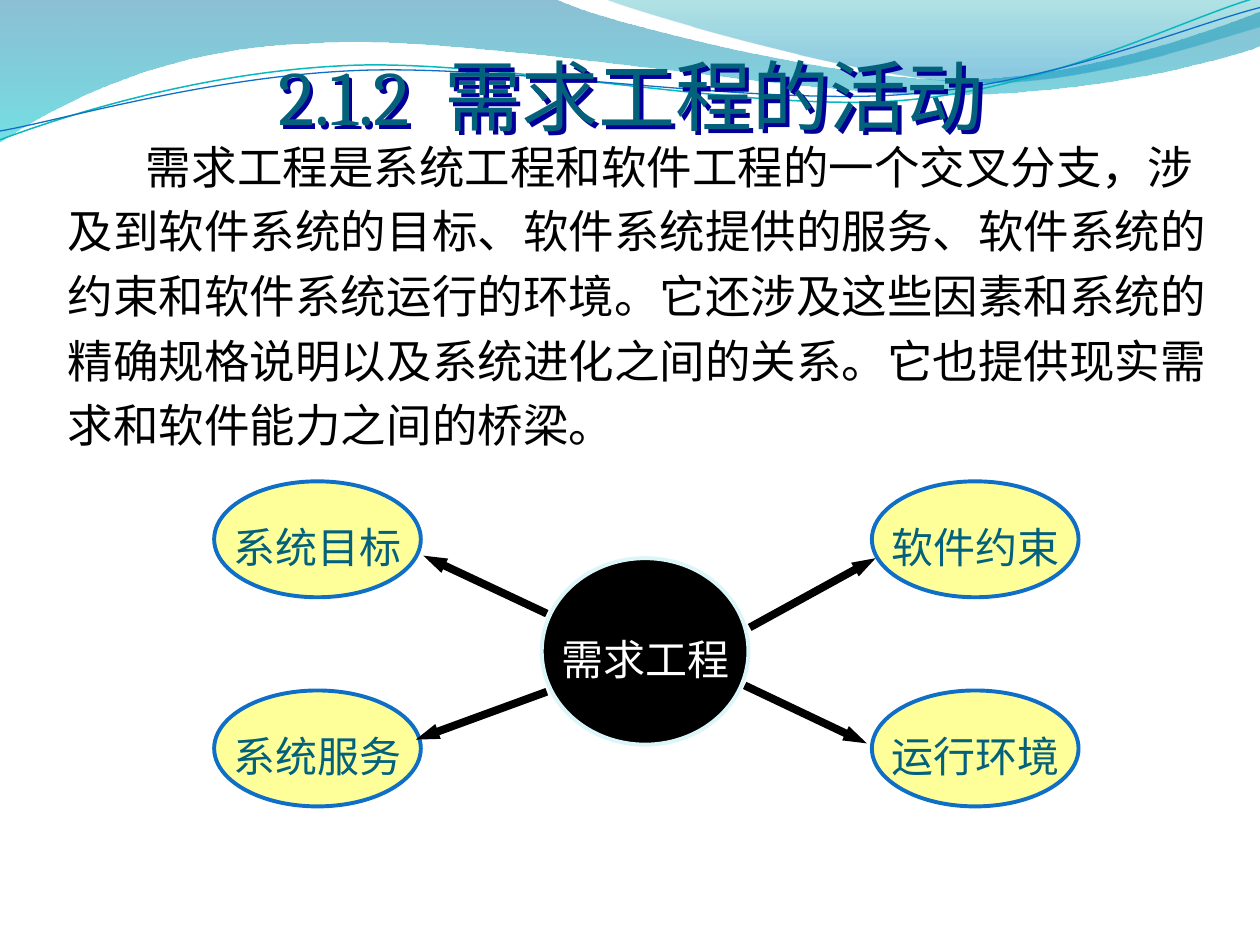
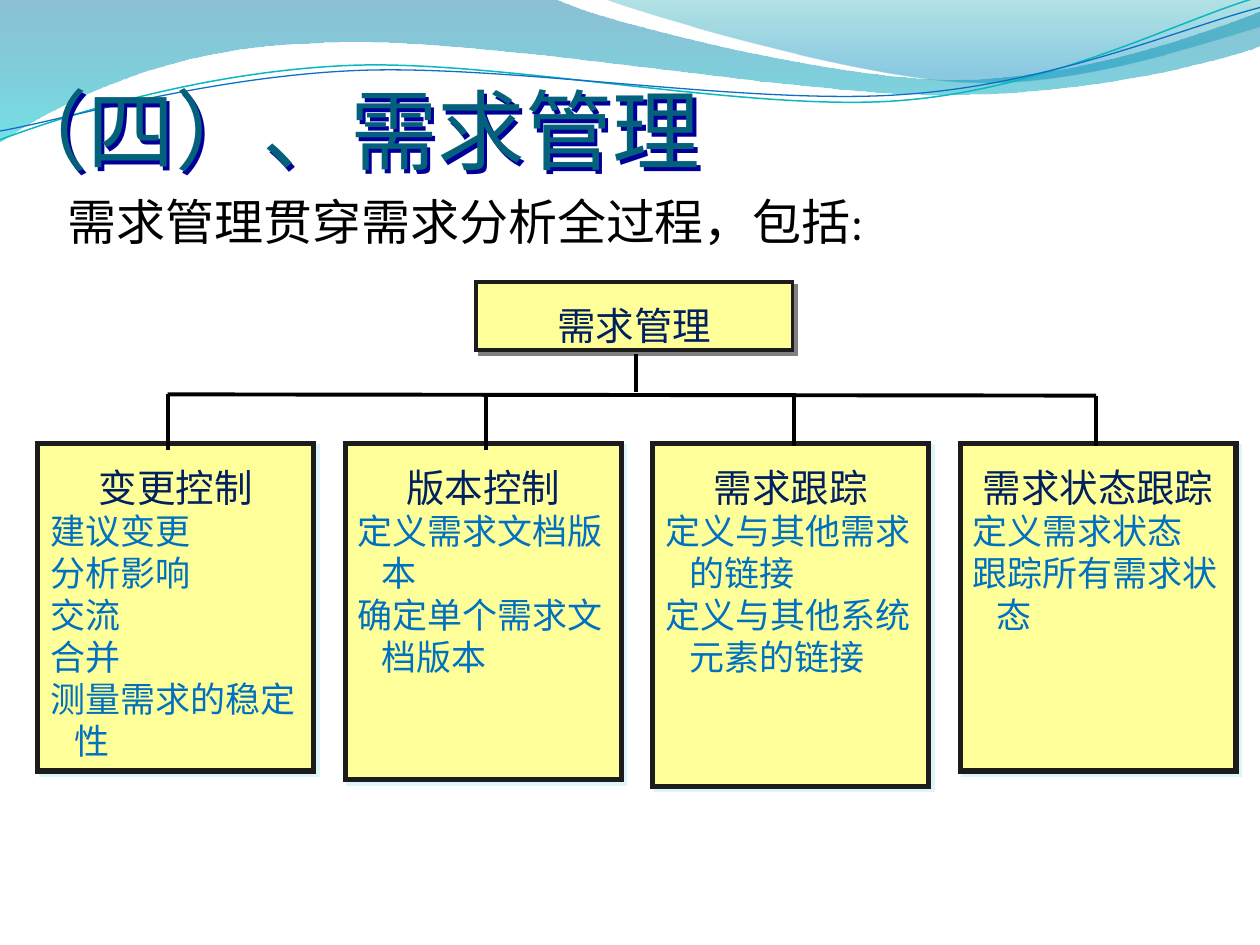
from dataclasses import dataclass

from lxml import etree
from pptx import Presentation
from pptx.dml.color import RGBColor
from pptx.enum.shapes import MSO_CONNECTOR as Connector, MSO_SHAPE as Preset
from pptx.enum.text import MSO_ANCHOR as Anchor, MSO_AUTO_SIZE as AutoSize, PP_ALIGN as Align
from pptx.oxml.ns import qn
from pptx.util import Inches, Pt


@dataclass(frozen=True)
class Theme:
    serif: str = "Cambria"
    sans: str = "Calibri"
    chinese: str = "Noto Sans CJK SC"
    teal: str = "04617B"
    blue: str = "0F6FC6"
    aqua: str = "0AB8BF"
    pale: str = "DBF5F9"
    yellow: str = "FFFF99"
    black: str = "000000"
    white: str = "FFFFFF"
    edge: str = "1C1C1C"
    gray: str = "808080"
    navy: str = "002060"
    item: str = "0070C0"
    title_shadow: str = "000099"
    title_size: int = 44
    section_size: int = 50
    body_size: int = 26
    lead_size: int = 28
    node_size: int = 24
    head_size: int = 22
    item_size: int = 20


THEME = Theme()

# Each wave: start point, then line ends (one point) or curves (three points)
BAND_WAVE = [
    [(0, 0)], [(4.4, -0.01)],
    [(4.76, 0.17), (6.64, 0.63), (7.58, 0.63)],
    [(8.53, 0.63), (9.58, 0.26), (10, 0.09)],
    [(10.01, 0.36)],
    [(9.83, 0.44), (8.7, 0.76), (7.46, 0.75)],
    [(6.22, 0.75), (3.82, 0.28), (2.57, 0.34)],
    [(1.29, 0.36), (0.46, 0.83), (-0.01, 1.13)],
]
CORNER_WAVE = [
    [(4.79, -0.01)],
    [(5.09, 0.11), (6.82, 0.62), (7.69, 0.65)],
    [(8.56, 0.69), (9.61, 0.32), (10, 0.21)],
    [(10, 0)],
]
AQUA_WAVE = [
    [(0, 1.11)],
    [(0.48, 0.93), (1.58, 0.57), (2.77, 0.52)],
    [(3.95, 0.47), (5.93, 0.89), (7.13, 0.8)],
    [(8.33, 0.71), (9.38, 0.15), (9.98, -0.02)],
]
BLUE_WAVE = [
    [(0, 1.04)],
    [(0.47, 0.96), (1.64, 0.61), (2.83, 0.56)],
    [(4.03, 0.51), (5.97, 0.84), (7.17, 0.75)],
    [(8.36, 0.67), (9.41, 0.21), (10, 0.06)],
]

DEFINITION = [
    "需求工程是系统工程和软件工程的一个交叉分支，涉",
    "及到软件系统的目标、软件系统提供的服务、软件系统的",
    "约束和软件系统运行的环境。它还涉及这些因素和系统的",
    "精确规格说明以及系统进化之间的关系。它也提供现实需",
    "求和软件能力之间的桥梁。",
]
ASPECTS = [["系统目标", "系统服务"], ["软件约束", "运行环境"]]
ASPECT_ARROWS = [
    (5.95, 4.98, 6.95, 4.43), (5.91, 5.44, 6.88, 5.9),
    (4.34, 4.87, 3.36, 4.41), (4.34, 5.49, 3.3, 5.87),
]
# Heading, card height, items
CONTROLS = [
    ("变更控制", 2.6, ["建议变更", "分析影响", "交流", "合并", "测量需求的稳定性"]),
    ("版本控制", 2.67, ["定义需求文档版本", "确定单个需求文档版本"]),
    ("需求跟踪", 2.72, ["定义与其他需求的链接", "定义与其他系统元素的链接"]),
    ("需求状态跟踪", 2.6, ["定义需求状态", "跟踪所有需求状态"]),
]
TREE_LINES = [
    (1.33, 3.13, 1.33, 3.57), (3.86, 3.13, 3.86, 3.57),
    (5.05, 2.81, 5.05, 3.11), (1.33, 3.13, 8.7, 3.14),
    (6.3, 3.14, 6.3, 3.54), (8.7, 3.14, 8.7, 3.54),
]


def rgb(value):
    return RGBColor.from_string(value)


# Shared wave background

def add_wave(page, wave, closed):
    """Build the outline, then join each three-point segment into one curve."""
    points = [(Inches(x), Inches(y)) for segment in wave for x, y in segment]
    builder = page.shapes.build_freeform(*points[0])
    builder.add_line_segments(points[1:], close=closed)
    shape = builder.convert_to_shape()
    shape.shadow.inherit = False
    steps = iter(list(shape.element.iter(qn("a:lnTo"))))
    for segment in wave[1:]:
        lines = [next(steps) for _ in segment]
        if len(lines) == 3:
            curve = etree.Element(qn("a:cubicBezTo"))
            lines[0].addprevious(curve)
            for line in lines:
                curve.append(line[0])
                line.getparent().remove(line)
    return shape


def add_band(page, wave, stops):
    band = add_wave(page, wave, True)
    band.line.fill.background()
    band.fill.gradient()
    band.fill.gradient_angle = 270
    for stop, (position, color, _) in zip(band.fill.gradient_stops, stops):
        stop.position = position
        stop.color.rgb = rgb(color)
    colors = band.element.spPr.find(qn("a:gradFill")).iter(qn("a:srgbClr"))
    for color, (_, _, percent) in zip(colors, stops):
        etree.SubElement(color, qn("a:alpha"), val=str(percent * 1000))
    return band


def add_curve(page, wave, color, width):
    curve = add_wave(page, wave, False)
    curve.fill.background()
    curve.line.color.rgb = rgb(color)
    curve.line.width = Pt(width)
    return curve


def move_waves_to_layout(page):
    """Draw the waves once and place them behind the layout's placeholders."""
    waves = [
        add_band(page, BAND_WAVE, [(0, "0074A1", 45), (1, "00C6CF", 55)]),
        add_band(page, CORNER_WAVE, [(0, "00A1A9", 30), (0.8, "008BBF", 45)]),
        add_curve(page, AQUA_WAVE, THEME.aqua, 0.85),
        add_curve(page, BLUE_WAVE, THEME.blue, 0.75),
    ]
    tree = page.slide_layout.shapes.element
    for order, wave in enumerate(waves):
        wave.element.find(qn("p:nvSpPr")).find(qn("p:cNvPr")).set("id", str(20 + order))
        tree.insert(2 + order, wave.element)


# Text

def style(para, font, size, color, align=Align.LEFT, spacing=None, before=0):
    para.font.name = font
    para.font.size = Pt(size)
    para.font.color.rgb = rgb(color)
    para.alignment = align
    para.space_before = Pt(before)
    if spacing:
        para.line_spacing = spacing


def set_asian_font(box):
    for defaults in box.element.iter(qn("a:defRPr")):
        etree.SubElement(defaults, qn("a:ea"), typeface=THEME.chinese)


def set_indents(box, indents):
    """Set (left margin, first line) in inches for each paragraph."""
    for properties, (left, first) in zip(box.element.iter(qn("a:pPr")), indents):
        properties.set("marL", str(Inches(left)))
        properties.set("indent", str(Inches(first)))


def add_shadow(shape, color):
    shape.shadow.inherit = False
    effects = shape.element.spPr.find(qn("a:effectLst"))
    shadow = etree.SubElement(effects, qn("a:outerShdw"), blurRad="0", dist=str(Pt(2.8)),
                              dir="2700000", algn="ctr", rotWithShape="0")
    etree.SubElement(shadow, qn("a:srgbClr"), val=color)


def place_title(page, spans, area, font, size, align, anchor):
    title = page.shapes.title
    title.left, title.top, title.width, title.height = map(Inches, area)
    frame = title.text_frame
    frame.auto_size = AutoSize.NONE
    frame.word_wrap = True
    frame.vertical_anchor = anchor
    para = frame.paragraphs[0]
    for text in spans:
        span = para.add_run()
        span.text = text
        span.font.size = Pt(size)
    style(para, font, size, THEME.teal, align)
    set_asian_font(title)
    add_shadow(title, THEME.title_shadow)
    return title


def add_text(page, lines, area, font, size, spacing, before):
    box = page.shapes.add_textbox(*map(Inches, area))
    frame = box.text_frame
    frame.word_wrap = True
    frame.text = "\n".join(lines)
    for para in frame.paragraphs:
        style(para, font, size, THEME.black, spacing=spacing, before=before)
    set_asian_font(box)
    return box


# Diagram parts

def add_shape(page, preset, area, fill, line, width):
    shape = page.shapes.add_shape(preset, *map(Inches, area))
    shape.shadow.inherit = False
    shape.fill.solid()
    shape.fill.fore_color.rgb = rgb(fill)
    shape.line.color.rgb = rgb(line)
    shape.line.width = Pt(width)
    etree.SubElement(shape.element.spPr.find(qn("a:ln")), qn("a:miter"), lim="800000")
    return shape


def add_node(page, text, area, fill, line, color):
    node = add_shape(page, Preset.OVAL, area, fill, line, 2.25)
    frame = node.text_frame
    frame.word_wrap = False
    frame.vertical_anchor = Anchor.MIDDLE
    frame.text = text
    style(frame.paragraphs[0], THEME.serif, THEME.node_size, color, Align.CENTER, 1.3)
    set_asian_font(node)


def add_card(page, heading, items, area, width, shadow):
    card = add_shape(page, Preset.RECTANGLE, area, THEME.yellow, THEME.edge, width)
    add_shadow(card, shadow)
    frame = card.text_frame
    frame.word_wrap = True
    frame.vertical_anchor = Anchor.TOP
    frame.text = "\n".join([heading, *items])
    head, *rest = frame.paragraphs
    style(head, THEME.serif, THEME.head_size, THEME.navy, Align.CENTER, 1.3, 11)
    for para in rest:
        style(para, THEME.serif, THEME.item_size, THEME.item)
    set_asian_font(card)
    set_indents(card, [(0, 0)] + [(0.19, -0.19)] * len(items))


def add_line(page, ends, width, arrow=False):
    line = page.shapes.add_connector(Connector.STRAIGHT, *map(Inches, ends))
    line.line.color.rgb = rgb(THEME.black)
    line.line.width = Pt(width)
    properties = line.element.spPr
    if arrow:
        etree.SubElement(properties.find(qn("a:ln")), qn("a:tailEnd"), type="triangle", w="sm")
    etree.SubElement(properties, qn("a:effectLst"))


# Slides

def build_activities(page):
    title = place_title(page, ["2.1.2", " ", "需求工程的活动"], (0.76, 0.44, 8.5, 0.63),
                        THEME.serif, THEME.title_size, Align.CENTER, Anchor.MIDDLE)
    # Widen the gap after the section number
    list(title.element.iter(qn("a:rPr")))[1].set("spc", "1000")
    body = add_text(page, DEFINITION, (0.44, 1.01, 9.39, 2.66),
                    THEME.chinese, THEME.body_size, 1.1, 2.6)
    set_indents(body, [(0, 0.62)])
    add_node(page, "需求工程", (4.3, 4.43, 1.64, 1.48), THEME.black, THEME.pale, THEME.white)
    for column, names in enumerate(ASPECTS):
        for row, name in enumerate(names):
            area = (1.7 + 5.22 * column, 3.82 + 1.66 * row, 1.64, 0.92)
            add_node(page, name, area, THEME.yellow, THEME.blue, THEME.teal)
    for ends in ASPECT_ARROWS:
        add_line(page, ends, 4.5, arrow=True)


def build_management(page):
    title = place_title(page, ["（四）、需求管理"], (0, 0.51, 8.5, 0.93),
                        THEME.sans, THEME.section_size, Align.LEFT, Anchor.BOTTOM)
    frame = title.text_frame
    frame.margin_left = frame.margin_right = frame.margin_bottom = 0
    add_text(page, ["需求管理贯穿需求分析全过程，包括:"], (0.44, 1.33, 9.27, 0.66),
             THEME.serif, THEME.lead_size, 1.3, 14)
    add_card(page, "需求管理", [], (3.78, 2.24, 2.51, 0.54), 2.25, THEME.gray)
    for column, (heading, height, items) in enumerate(CONTROLS):
        add_card(page, heading, items, (0.3 + 2.44 * column, 3.52, 2.19, height), 3, THEME.pale)
    for ends in TREE_LINES:
        add_line(page, ends, 2.25)


def main():
    deck = Presentation()
    deck.slide_width, deck.slide_height = Inches(10), Inches(7.5)
    title_only = deck.slide_layouts[5]
    activities = deck.slides.add_slide(title_only)
    move_waves_to_layout(activities)
    build_activities(activities)
    build_management(deck.slides.add_slide(title_only))
    deck.save("out.pptx")


if __name__ == "__main__":
    main()
